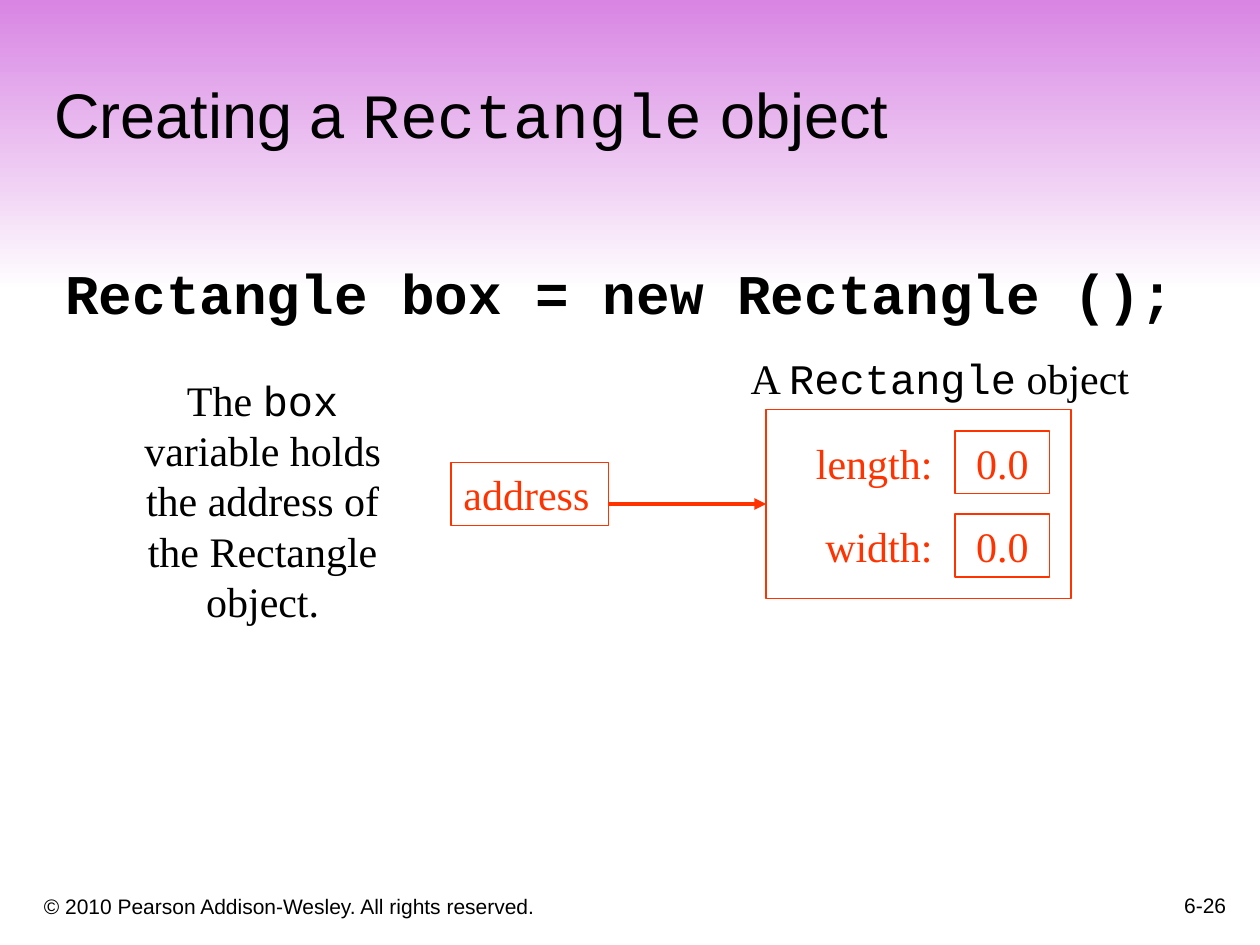
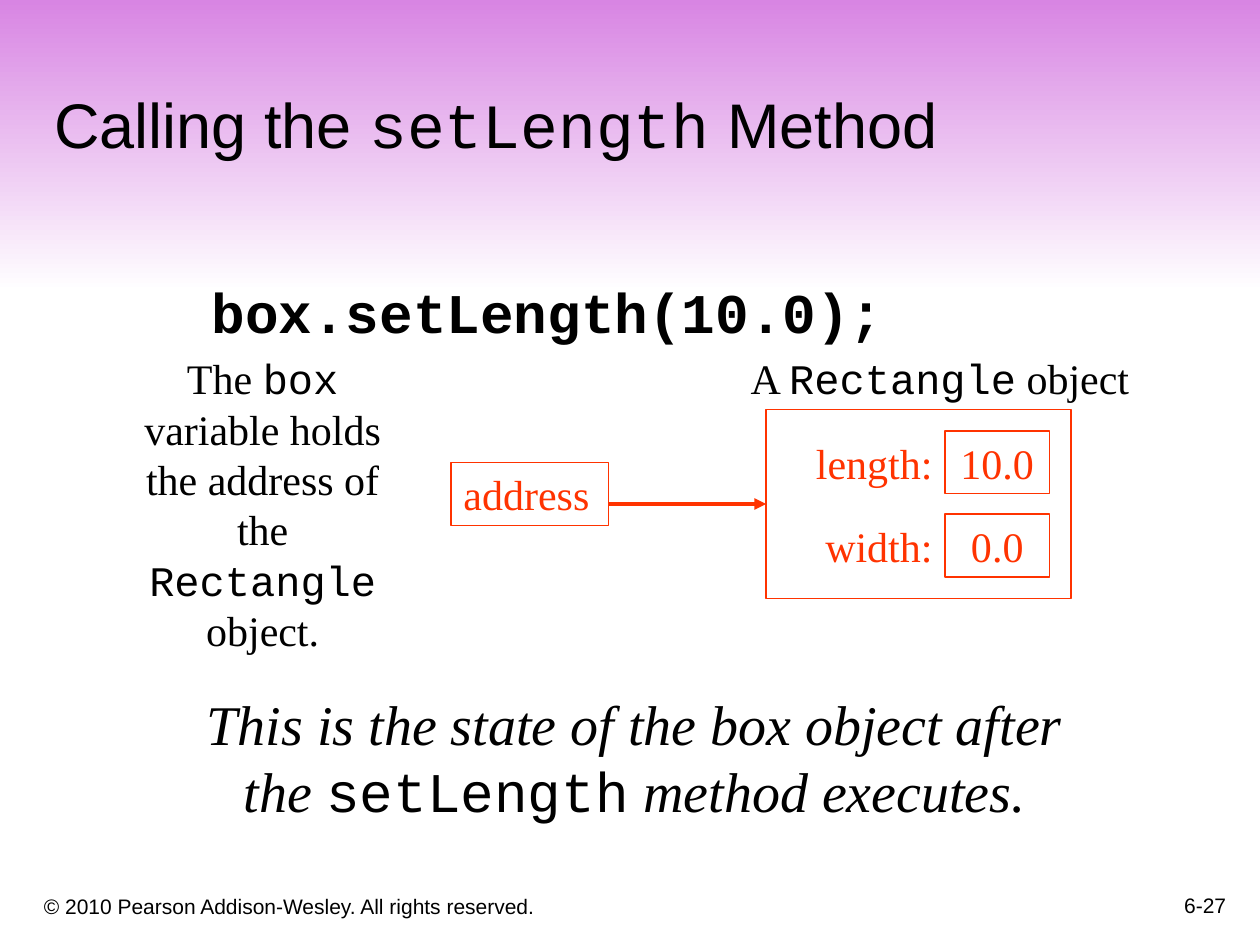
from lxml.etree import SubElement
from pptx import Presentation
from pptx.dml.color import RGBColor
from pptx.enum.shapes import MSO_CONNECTOR, MSO_SHAPE
from pptx.enum.text import MSO_ANCHOR, MSO_AUTO_SIZE, PP_ALIGN
from pptx.oxml.ns import qn
from pptx.util import Inches, Pt

BLACK = RGBColor(0x00, 0x00, 0x00)
WHITE = RGBColor(0xFF, 0xFF, 0xFF)
VIOLET = RGBColor(0xD8, 0x85, 0xE3)
ORANGE = RGBColor(0xFF, 0x33, 0x00)
SANS, SERIF, MONO = "Arial", "Times New Roman", "Courier New"

COPYRIGHT = "© 2010 Pearson Addison-Wesley. All rights reserved."
OBJECT_LABEL = [("A ", SERIF), ("Rectangle", MONO), (" object", SERIF)]
SLIDES = [
    {
        "page": "6-26",
        "title": [("Creating a ", SANS), ("Rectangle", MONO), (" object", SANS)],
        "title_top": 0,
        "statement": "Rectangle box = new Rectangle ();",
        "statement_place": (0.42, 2, 9.08, 0.75),
        "fields": [("length:", "0.0"), ("width:", "0.0")],
        "value_width": 0.75,
        "caption": [("The ", SERIF), ("box ", MONO),
                    ("variable holds the address of the Rectangle object.", SERIF)],
        "caption_place": (0.92, 2.92, 2.33, 2.1),
        "remark": [],
    },
    {
        "page": "6-27",
        "title": [("Calling the ", SANS), ("setLength", MONO), (" Method", SANS)],
        "title_top": 0.08,
        "statement": "box.setLength(10.0);",
        "statement_place": (1.58, 2.15, 6.14, 0.73),
        "fields": [("length:", "10.0"), ("width:", "0.0")],
        "value_width": 0.83,
        "caption": [("The ", SERIF), ("box ", MONO),
                    ("variable holds the address of the ", SERIF),
                    ("Rectangle", MONO), (" object.", SERIF)],
        "caption_place": (0.92, 2.75, 2.33, 2.5),
        "remark": [("This is the state of the box object after the ", SERIF),
                   ("setLength", MONO), (" method executes.", SERIF)],
    },
]

OBJECT_BOX = (6.08, 3.25, 2.42, 1.5)
ADDRESS_BOX = (3.58, 3.67, 1.25, 0.5)
ARROW_Y = 4
FIELD_TOP, FIELD_STEP, FIELD_HEIGHT = 3.42, 0.66, 0.5
VALUE_RIGHT = 8.33


def write(shape, runs, size=24, color=BLACK, align=PP_ALIGN.LEFT,
          anchor=MSO_ANCHOR.TOP, bold=False, italic=False):
    frame = shape.text_frame
    frame.word_wrap = True
    frame.auto_size = MSO_AUTO_SIZE.NONE
    frame.vertical_anchor = anchor
    paragraph = frame.paragraphs[0]
    paragraph.alignment = align
    for text, font_name in runs:
        run = paragraph.add_run()
        run.text = text
        font = run.font
        font.name, font.size = font_name, Pt(size)
        font.color.rgb = color
        font.bold = bold
        font.italic = italic and font_name != MONO


def add_text(slide, place, runs, **style):
    write(slide.shapes.add_textbox(*map(Inches, place)), runs, **style)


def add_box(slide, place):
    box = slide.shapes.add_shape(MSO_SHAPE.RECTANGLE, *map(Inches, place))
    box.shadow.inherit = False
    box.fill.background()
    box.line.color.rgb = ORANGE
    box.line.width = Pt(0.75)
    return box


def add_band(slide):
    band = slide.shapes.add_shape(MSO_SHAPE.RECTANGLE, 0, 0, Inches(10), Inches(2.32))
    band.shadow.inherit = False
    band.line.fill.background()
    band.fill.gradient()
    band.fill.gradient_angle = 270
    for stop, color in zip(band.fill.gradient_stops, (VIOLET, WHITE)):
        stop.color.rgb = color
    slide.shapes.title.element.addprevious(band.element)


def add_arrow(slide, left, right, y):
    arrow = slide.shapes.add_connector(
        MSO_CONNECTOR.STRAIGHT, Inches(left), Inches(y), Inches(right), Inches(y))
    arrow.line.color.rgb = ORANGE
    arrow.line.width = Pt(2.25)
    SubElement(arrow.line._get_or_add_ln(), qn("a:tailEnd"), type="triangle")
    SubElement(arrow.element.spPr, qn("a:effectLst"))


def add_frame(slide, content):
    add_band(slide)
    title = slide.shapes.title
    title.left, title.top = Inches(0.33), Inches(content["title_top"])
    title.width, title.height = Inches(8.5), Inches(1.25)
    write(title, content["title"], size=36, anchor=MSO_ANCHOR.BOTTOM)
    add_text(slide, (0.25, 6.92, 6.08, 0.42), [(COPYRIGHT, SANS)],
             size=12, anchor=MSO_ANCHOR.BOTTOM)
    add_text(slide, (7.75, 6.83, 2.08, 0.5), [(content["page"], SANS)],
             size=12, align=PP_ALIGN.RIGHT, anchor=MSO_ANCHOR.BOTTOM)


def add_object_diagram(slide, content):
    write(add_box(slide, ADDRESS_BOX), [("address", SERIF)], color=ORANGE)
    value_width = content["value_width"]
    for index, (name, value) in enumerate(content["fields"]):
        top = FIELD_TOP + index * FIELD_STEP
        value_box = add_box(
            slide, (VALUE_RIGHT - value_width, top, value_width, FIELD_HEIGHT))
        write(value_box, [(value, SERIF)], color=ORANGE, align=PP_ALIGN.CENTER)
        add_text(slide, (6.25, top, 1.25, FIELD_HEIGHT), [(name, SERIF)],
                 color=ORANGE, align=PP_ALIGN.RIGHT)
    add_box(slide, OBJECT_BOX)
    add_arrow(slide, ADDRESS_BOX[0] + ADDRESS_BOX[2], OBJECT_BOX[0], ARROW_Y)
    add_text(slide, (5.5, 2.75, 3.92, 0.5), OBJECT_LABEL, align=PP_ALIGN.CENTER)


def main():
    presentation = Presentation()
    presentation.slide_width, presentation.slide_height = Inches(10), Inches(7.5)
    title_only = presentation.slide_layouts[5]
    for content in SLIDES:
        slide = presentation.slides.add_slide(title_only)
        add_frame(slide, content)
        add_text(slide, content["statement_place"], [(content["statement"], MONO)],
                 size=32, bold=True)
        add_object_diagram(slide, content)
        add_text(slide, content["caption_place"], content["caption"],
                 align=PP_ALIGN.CENTER)
        if content["remark"]:
            add_text(slide, (1.5, 5.42, 7.08, 1.17), content["remark"],
                     size=32, align=PP_ALIGN.CENTER, italic=True)
    presentation.save("out.pptx")


if __name__ == "__main__":
    main()
